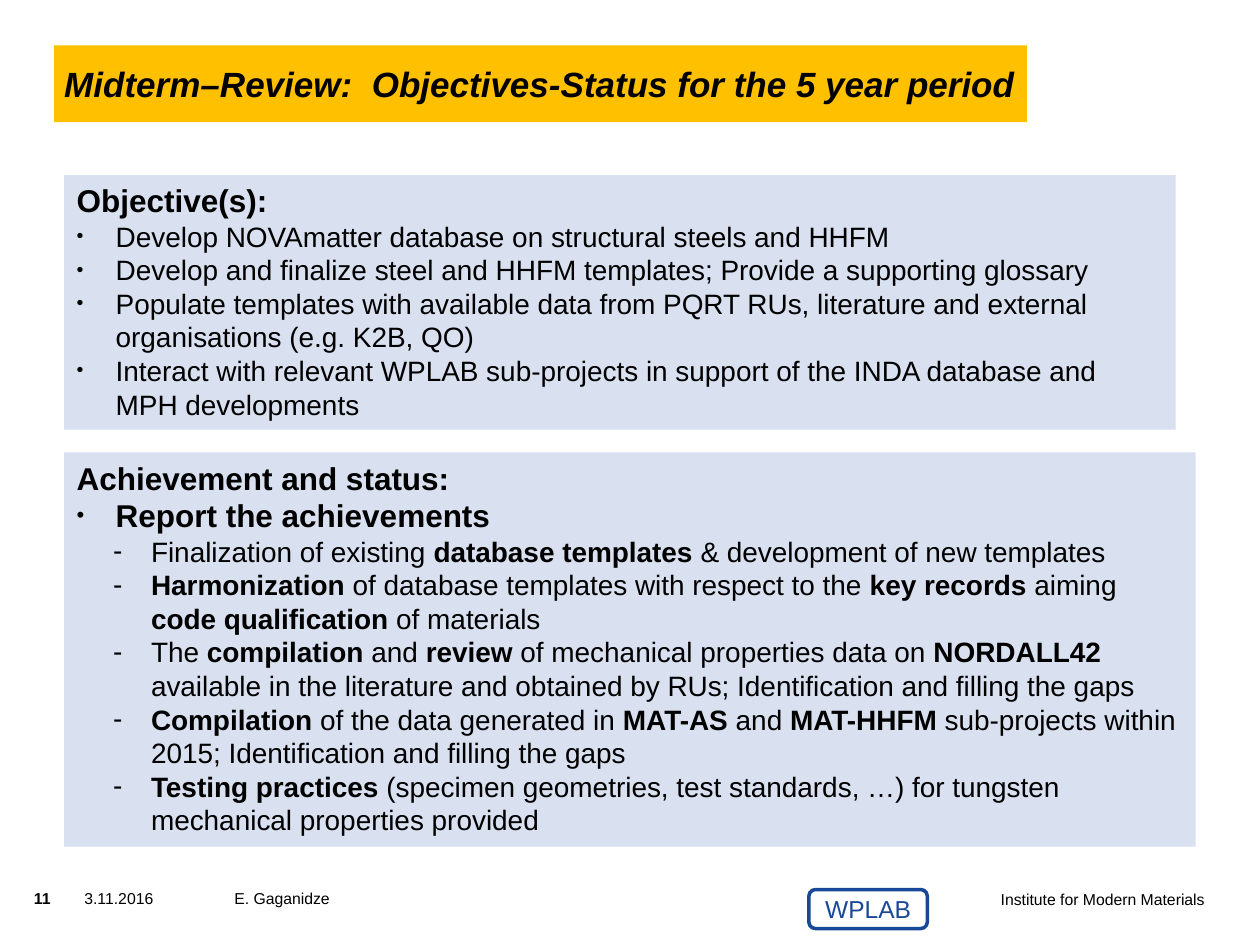
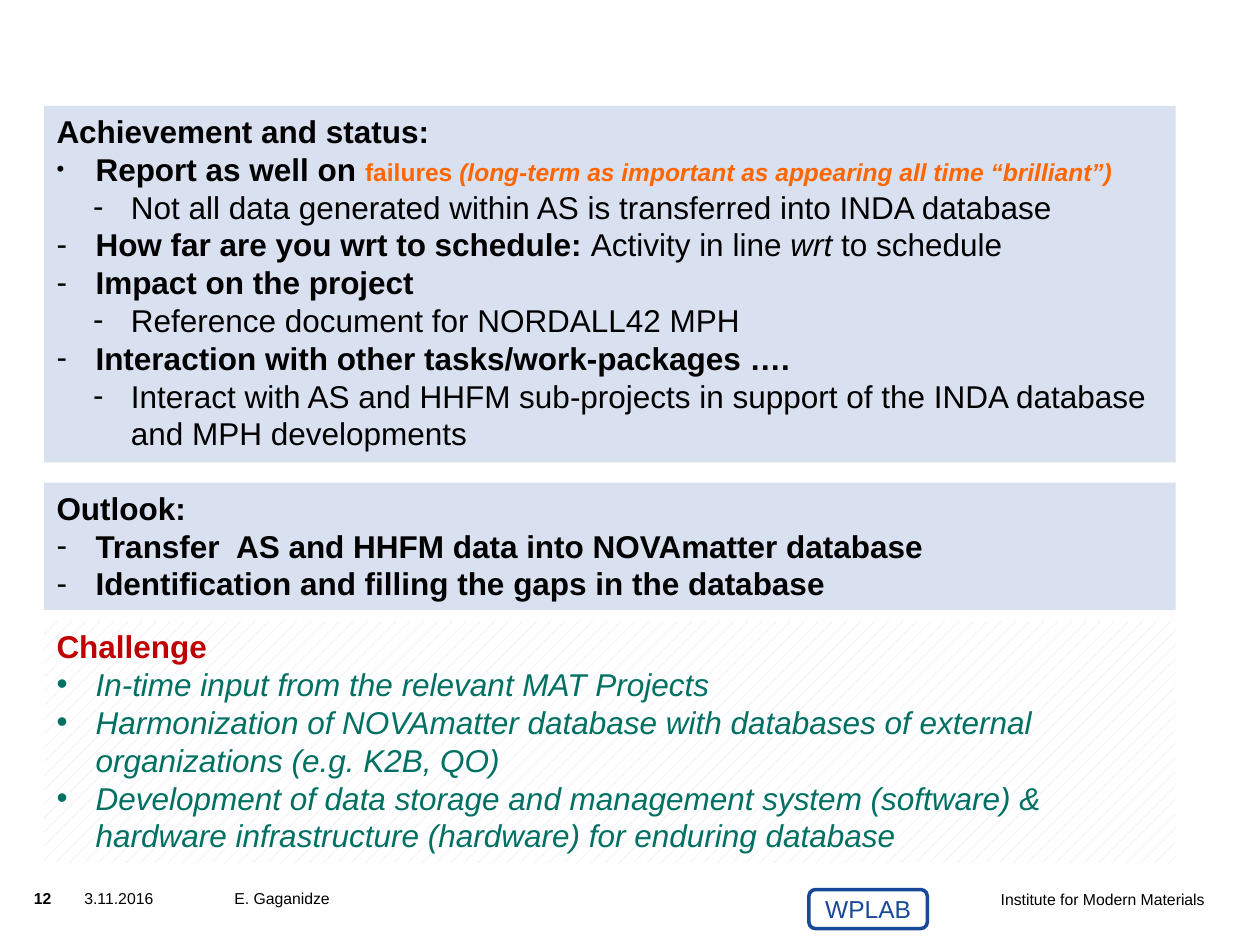
from lxml.etree import SubElement as Sub
from pptx import Presentation
from pptx.dml.color import RGBColor
from pptx.enum.dml import MSO_PATTERN as Pat
from pptx.enum.shapes import MSO_SHAPE as Kind
from pptx.enum.text import MSO_ANCHOR as Anchor, MSO_AUTO_SIZE as Auto, PP_ALIGN as Align
from pptx.oxml.ns import qn
from pptx.util import Inches, Pt

BLACK = RGBColor(0x00, 0x00, 0x00)
WHITE = RGBColor(0xFF, 0xFF, 0xFF)
GOLD = RGBColor(0xFF, 0xC0, 0x00)
PALE = RGBColor(0xD9, 0xE0, 0xEF)
NAVY = RGBColor(0x18, 0x48, 0x97)
RED = RGBColor(0xC0, 0x00, 0x00)
GREEN = RGBColor(0x00, 0x70, 0x62)
ORANGE = RGBColor(0xFF, 0x66, 0x00)
FONT = "Arial"

HEAD = {}
SMALL = {"mark": "•", "scale": 70, "left": 0.31, "hang": 0.31}
DOT = {"mark": "•", "left": 0.31, "hang": 0.31}
DASH = {"mark": "-", "left": 0.31, "hang": 0.31}
SUB = {"mark": "-", "left": 0.59, "hang": 0.3, "level": 1}
BIG = {"size": 18}
WARN = {"size": 14, "color": ORANGE}
GOAL = {"color": GREEN, "italic": True, "size": 18}

SLIDES = [
    {
        "number": "11",
        "title": "*Midterm–Review:  Objectives-Status for the 5 year period*",
        "panels": [
            ((0.51, 1.39, 8.82, 2.02), PALE, [
                (HEAD, ("*Objective(s):*", BIG)),
                (SMALL, "Develop NOVAmatter database on structural steels and HHFM"),
                (SMALL, "Develop and finalize steel and HHFM templates; Provide a supporting glossary"),
                (SMALL, "Populate templates with available data from PQRT RUs, literature and external "
                        "organisations (e.g. K2B, QO)"),
                (SMALL, "Interact with relevant WPLAB sub-projects in support of the INDA database "
                        "and MPH developments"),
            ]),
            ((0.51, 3.59, 8.98, 3.13), PALE, [
                (HEAD, ("*Achievement and status:*", BIG)),
                (SMALL, ("*Report the achievements*", BIG)),
                (SUB, "Finalization of existing *database templates* & development of new templates"),
                (SUB, "*Harmonization* of database templates with respect to the *key records *aiming "
                      "*code qualification *of materials"),
                (SUB, "The *compilation *and *review* of mechanical properties data on *NORDALL42* "
                      "available in the literature and obtained by RUs; Identification and filling the gaps"),
                (SUB, "*Compilation* of the data generated in *MAT-AS *and *MAT-HHFM* sub-projects "
                      "within 2015; Identification and filling the gaps"),
                (SUB, "*Testing practices *(specimen geometries, test standards, …) for tungsten "
                      "mechanical properties provided"),
            ]),
        ],
    },
    {
        "number": "12",
        "title": None,
        "panels": [
            ((0.35, 3.83, 8.98, 1.01), PALE, [
                (HEAD, ("*Outlook:*", BIG)),
                (DASH, ("*Transfer  AS and HHFM data into NOVAmatter database*", BIG)),
                (DASH, ("*Identification and filling the gaps in the database*", BIG)),
            ]),
            ((0.35, 4.93, 8.98, 1.92), Pat.PERCENT_10, [
                (HEAD, ("*Challenge*", {"size": 18, "color": RED})),
                (DOT, ("In-time input from the relevant MAT Projects", GOAL)),
                (DOT, ("Harmonization of NOVAmatter database with databases of external "
                       "organizations (e.g. K2B, QO)", GOAL)),
                (DOT, ("Development of data storage and management system (software) & "
                       "hardware infrastructure (hardware) for enduring database", GOAL)),
            ]),
            ((0.35, 0.84, 8.98, 2.83), PALE, [
                (HEAD, ("*Achievement and status:*", BIG)),
                (SMALL, ("*Report as well on *", BIG), ("*failures *", WARN),
                 ("*(long-term as important as appearing all time “brilliant”)*",
                  {**WARN, "italic": True})),
                (SUB, ("Not all data generated within AS is transferred into INDA database", BIG)),
                (DASH, ("*How far are you wrt to schedule: *Activity in line ", BIG),
                 ("wrt ", {"size": 18, "italic": True}), ("to schedule", BIG)),
                (DASH, ("*Impact on the project*", BIG)),
                (SUB, ("Reference document for NORDALL42 MPH", BIG)),
                (DASH, ("*Interaction with other tasks/work-packages ….*", BIG)),
                (SUB, ("Interact with AS and HHFM sub-projects in support of the INDA database "
                       "and MPH developments", BIG)),
            ]),
        ],
    },
]

FOOT = [
    ((6.57, 7.06, 2.99, 0.39), "Institute for Modern Materials", Align.RIGHT),
    ((0.27, 7.05, 0.36, 0.24), "*{number}*", Align.LEFT),
    ((0.67, 7.05, 0.94, 0.39), "3.11.2016", Align.LEFT),
    ((1.86, 7.05, 1.8, 0.39), "E. Gaganidze", Align.LEFT),
]


def write(para, text, size=16, color=BLACK, italic=False, align=Align.LEFT):
    para.alignment = align
    for i, part in enumerate(text.split("*")):
        if part:
            run = para.add_run()
            run.text = part
            font = run.font
            font.name, font.size, font.color.rgb = FONT, Pt(size), color
            font.bold, font.italic = i % 2 == 1, italic


def bullet(para, mark, left, hang, scale=100, level=0):
    para.level = level
    props = para._p.get_or_add_pPr()
    props.set("marL", str(Inches(left)))
    props.set("indent", str(-Inches(hang)))
    Sub(props, qn("a:buSzPct"), val=str(scale * 1000))
    Sub(props, qn("a:buFont"), typeface=FONT)
    Sub(props, qn("a:buChar"), char=mark)


def block(slide, box, kind=Kind.RECTANGLE, fill=None, line=None):
    shape = slide.shapes.add_shape(kind, *map(Inches, box))
    shape.shadow.inherit = False
    if fill is None:
        shape.fill.background()
    elif isinstance(fill, RGBColor):
        shape.fill.solid()
        shape.fill.fore_color.rgb = fill
    else:
        shape.fill.patterned()
        shape.fill.pattern = fill
        shape.fill.fore_color.rgb, shape.fill.back_color.rgb = PALE, WHITE
    if line is None:
        shape.line.fill.background()
    else:
        shape.line.color.rgb, shape.line.width = line, Pt(2)
    return shape.text_frame


def pad(frame, left=0):
    frame.margin_left = Inches(left)
    frame.margin_right = frame.margin_top = frame.margin_bottom = 0


def panel(slide, box, fill, lines):
    frame = block(slide, box, fill=fill)
    frame.vertical_anchor = Anchor.TOP
    frame.auto_size = Auto.SHAPE_TO_FIT_TEXT
    for i, (style, *runs) in enumerate(lines):
        para = frame.add_paragraph() if i else frame.paragraphs[0]
        if style:
            bullet(para, **style)
        for run in runs:
            text, form = (run, {}) if isinstance(run, str) else run
            write(para, text, **form)


def footer(slide, number):
    for box, text, align in FOOT:
        frame = slide.shapes.add_textbox(*map(Inches, box)).text_frame
        frame.word_wrap = True
        pad(frame)
        write(frame.paragraphs[0], text.format(number=number), size=9, align=align)
    badge = block(slide, (6.42, 7.06, 0.94, 0.31), Kind.ROUNDED_RECTANGLE, line=NAVY)
    badge.vertical_anchor = Anchor.MIDDLE
    write(badge.paragraphs[0], "WPLAB", size=14, color=NAVY, align=Align.CENTER)


def header(slide, text):
    frame = block(slide, (0.43, 0.36, 7.72, 0.61), fill=GOLD)
    frame.vertical_anchor = Anchor.MIDDLE
    pad(frame, left=0.08)
    write(frame.paragraphs[0], text, size=20, italic=True)


def main():
    deck = Presentation()
    deck.slide_width, deck.slide_height = Inches(10), Inches(7.5)
    for page in SLIDES:
        slide = deck.slides.add_slide(deck.slide_layouts[6])
        footer(slide, page["number"])
        if page["title"]:
            header(slide, page["title"])
        for box, fill, lines in page["panels"]:
            panel(slide, box, fill, lines)
    deck.save("out.pptx")


if __name__ == "__main__":
    main()
